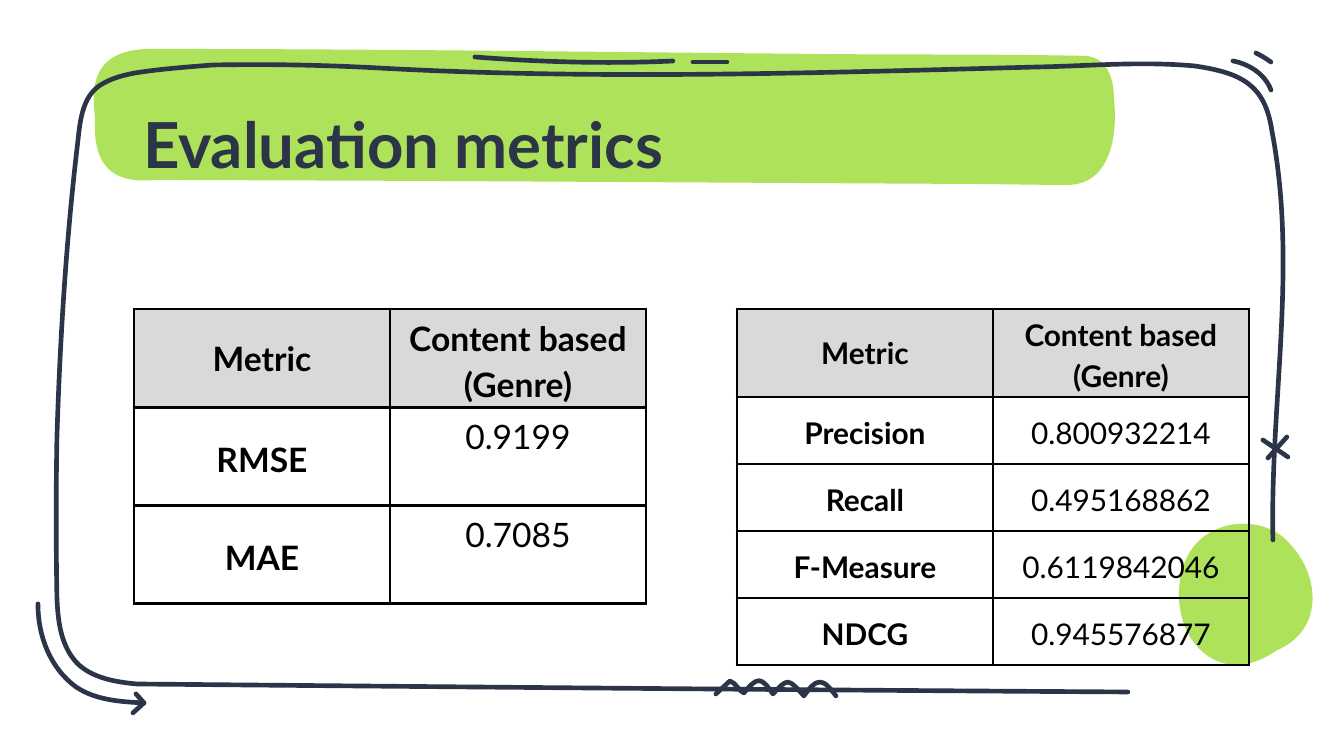
from lxml.etree import SubElement
from pptx import Presentation
from pptx.dml.color import RGBColor
from pptx.enum.text import MSO_ANCHOR as Anchor, MSO_AUTO_SIZE as AutoSize, PP_ALIGN as Align
from pptx.oxml.ns import qn
from pptx.util import Emu, Pt

PX = 914400 / 134.4
GREEN = RGBColor(0xAE, 0xE2, 0x5A)
INK = RGBColor(0x2B, 0x35, 0x47)
GREY = RGBColor(0xD9, 0xD9, 0xD9)
BLACK = RGBColor(0, 0, 0)
FONT = "Lato"


def px(length):
    return Emu(round(length * PX))


def draw(slide, box, *strands, closed=False):
    """Freeform in box; a strand is a start, then lines (x, y) and cubic curves."""
    left, top, width, height = box
    builder = slide.shapes.build_freeform(left, top, scale=PX)
    builder.add_line_segments([(left + width, top + height)], close=False)
    shape = builder.convert_to_shape()
    shape.shadow.inherit = False
    outline = next(shape._element.iter(qn("a:path")))
    for segment in list(outline):
        outline.remove(segment)
    for strand in strands:
        for i, segment in enumerate(strand):
            kind = "a:moveTo" if i == 0 else "a:lnTo" if len(segment) == 2 else "a:cubicBezTo"
            step = SubElement(outline, qn(kind))
            for x, y in zip(segment[::2], segment[1::2]):
                SubElement(step, qn("a:pt"), x=str(x - left), y=str(y - top))
        if closed:
            SubElement(outline, qn("a:close"))
    return shape


prs = Presentation()
prs.slide_width, prs.slide_height = px(1344), px(756)
slide = prs.slides.add_slide(prs.slide_layouts[5])

# Green patches in the lower right corner and behind the title
corner_patch = [
    (1300, 556), (1284, 524, 1234, 512, 1204, 538), (1171, 567, 1164, 637, 1212, 659),
    (1228, 665, 1245, 663, 1261, 657), (1311, 650, 1323, 597, 1300, 556)]
title_patch = [
    (1114, 99), (1114, 78, 1107, 58, 1086, 56), (996, 54, 907, 55, 817, 54),
    (585, 52, 383, 49, 151, 49), (81, 49, 95, 103, 95, 120),
    (93, 168, 114, 184, 156, 180), (425, 181), (961, 184),
    (997, 184, 1032, 185, 1067, 185), (1110, 185, 1118, 137, 1114, 99)]
for box, strand, angle in (((1176, 524, 134, 137), corner_patch, -14.7),
                           ((94, 49, 1020, 136), title_patch, 0)):
    patch = draw(slide, box, strand, closed=True)
    patch.rotation = angle
    patch.fill.solid()
    patch.fill.fore_color.rgb = GREEN
    patch.line.fill.background()

# Hand-drawn frame and its pen marks
frame = [
    (1128, 692), (798, 690, 467, 687, 137, 684), (115, 682, 92, 678, 77, 663),
    (61, 646, 58, 622, 57, 598), (56, 544, 56, 490, 57, 437),
    (60, 340, 66, 244, 77, 149), (80, 126, 80, 95, 104, 83),
    (113, 78, 124, 75, 135, 73), (160, 69, 187, 67, 213, 65),
    (268, 64, 323, 65, 379, 68), (597, 80, 817, 73, 1037, 67),
    (1091, 66, 1140, 61, 1195, 66), (1241, 73, 1265, 84, 1272, 131),
    (1298, 267, 1270, 402, 1273, 540)]
long_dash = [(475, 57), (540, 62, 606, 64, 673, 61)]
short_dash = [(693, 62), (727, 62)]
large_arc = [(1233, 61), (1249, 64, 1265, 74, 1271, 90)]
small_arc = [(1256, 53), (1262, 56, 1267, 59, 1271, 62)]
arrow = [(38, 604), (38, 636, 50, 668, 76, 687), (95, 700, 120, 702, 144, 703)]
arrow_tip = [(136, 694), (144, 703), (133, 713)]
cross = [(1263, 440), (1288, 457)], [(1287, 437), (1268, 458)]
zigzag = [
    (716, 694), (730, 681), (736, 683, 740, 692, 744, 693),
    (757, 677, 761, 676, 773, 694), (788, 678, 788, 678, 804, 696),
    (816, 679, 822, 676, 836, 696)]
for box, *strands in (
        ((54, 62, 1231, 633), frame),
        ((473, 54, 203, 10), long_dash),
        ((690, 59, 39, 5), short_dash),
        ((1231, 58, 43, 34), large_arc),
        ((36, 602, 110, 114), arrow, arrow_tip),
        ((1261, 434, 29, 26), *cross),
        ((714, 677, 125, 23), zigzag),
        ((1253, 51, 20, 14), small_arc)):
    stroke = draw(slide, box, *strands)
    stroke.fill.background()
    stroke.line.color.rgb = INK
    stroke.line.width = Pt(2.5)
    pen = stroke.line._get_or_add_ln()
    pen.set("cap", "rnd")
    SubElement(pen, qn("a:round"))

# Title, in front of its patch
title = slide.shapes.title
slide.shapes._spTree.append(title._element)
title.left, title.top, title.width, title.height = px(130), px(101), px(945), px(58)
heading = title.text_frame
heading.text = "Evaluation metrics"
heading.auto_size = AutoSize.NONE
heading.word_wrap = True
heading.vertical_anchor = Anchor.TOP
heading.margin_left = heading.margin_right = heading.margin_top = heading.margin_bottom = px(13)
line = heading.paragraphs[0]
line.alignment = Align.LEFT
line.line_spacing = 0.9
line.font.name, line.font.size, line.font.bold = FONT, Pt(34), True
line.font.color.rgb = INK

# Metric tables: left, header height, row height, text size, value anchor, rows
HEADER = ("Metric", "Content based (Genre)")
ranking = [HEADER, ("Precision", "0.800932214"), ("Recall", "0.495168862"),
           ("F-Measure", "0.6119842046"), ("NDCG", "0.945576877")]
errors = [HEADER, ("RMSE", "0.9199"), ("MAE", "0.7085")]
for left, header_height, row_height, size, value_anchor, rows in (
        (737, 88, 67, 16, Anchor.MIDDLE, ranking),
        (134, 98, 98, 18, Anchor.TOP, errors)):
    height = header_height + row_height * (len(rows) - 1)
    table = slide.shapes.add_table(len(rows), 2, px(left), px(309), px(512), px(height)).table
    table.first_row = table.horz_banding = False
    for r, row in enumerate(rows):
        table.rows[r].height = px(row_height if r else header_height)
        for c, text in enumerate(row):
            cell = table.cell(r, c)
            cell.text = text
            cell.margin_left = cell.margin_right = px(4)
            cell.margin_top = cell.margin_bottom = px(3)
            is_value = r > 0 and c == 1
            cell.vertical_anchor = value_anchor if is_value else Anchor.MIDDLE
            entry = cell.text_frame.paragraphs[0]
            entry.alignment = Align.CENTER
            entry.line_spacing = 1.0 if text == "Metric" else 1.15
            entry.font.name, entry.font.size = FONT, Pt(size)
            entry.font.bold = not is_value
            entry.font.color.rgb = BLACK
            for side in ("a:lnL", "a:lnR", "a:lnT", "a:lnB"):
                border = SubElement(cell._tc.get_or_add_tcPr(), qn(side), w=str(Pt(1.5)))
                SubElement(SubElement(border, qn("a:solidFill")), qn("a:srgbClr"), val=str(BLACK))
            if r == 0:
                cell.fill.solid()
                cell.fill.fore_color.rgb = GREY
            else:
                cell.fill.background()

prs.save("out.pptx")
